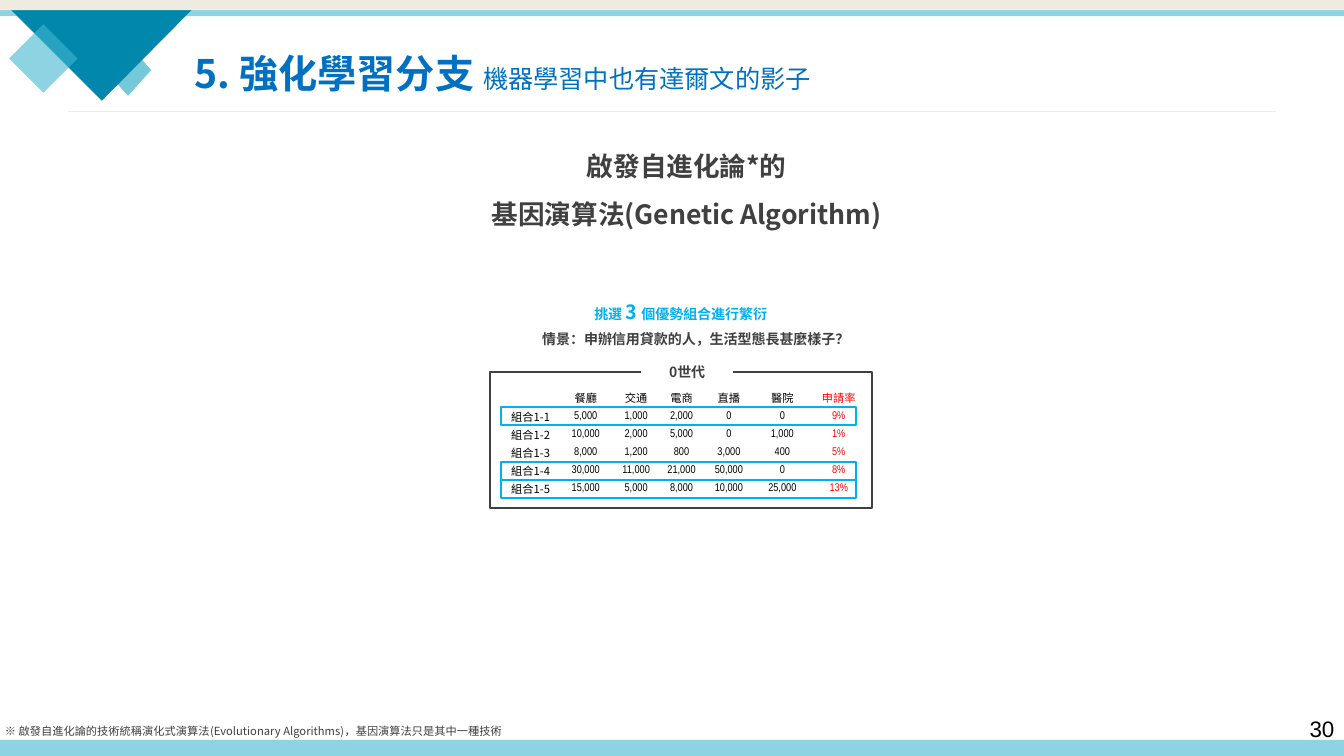
from dataclasses import dataclass

from lxml.etree import SubElement
from pptx import Presentation
from pptx.dml.color import RGBColor
from pptx.enum.shapes import MSO_CONNECTOR, MSO_SHAPE
from pptx.enum.text import MSO_ANCHOR, MSO_AUTO_SIZE, PP_ALIGN
from pptx.oxml.ns import qn
from pptx.util import Pt

PX = 9144


@dataclass(frozen=True)
class Theme:
    """Colours, fonts and type sizes of the slide."""
    white: str = "FFFFFF"
    black: str = "000000"
    text: str = "404040"
    title: str = "0070C0"
    accent: str = "00B0F0"
    rate: str = "FF0000"
    cream: str = "EEECE1"
    band: str = "8DD4E3"
    triangle: str = "0187AC"
    small_diamond: str = "1AA4BE"
    large_diamond: str = "41B7D0"
    cjk_font: str = "Noto Sans CJK SC"
    number_font: str = "Arial Narrow"
    page_font: str = "Arial"
    title_size: int = 28
    subtitle_size: int = 18
    heading_size: int = 19
    page_size: int = 16
    count_size: int = 14
    label_size: int = 10
    small_size: int = 8


THEME = Theme()
HEADERS = ["", "餐廳", "交通", "電商", "直播", "醫院", "申請率"]
COMBINATIONS = [
    ["組合1-1", "5,000", "1,000", "2,000", "0", "0", "9%"],
    ["組合1-2", "10,000", "2,000", "5,000", "0", "1,000", "1%"],
    ["組合1-3", "8,000", "1,200", "800", "3,000", "400", "5%"],
    ["組合1-4", "30,000", "11,000", "21,000", "50,000", "0", "8%"],
    ["組合1-5", "15,000", "5,000", "8,000", "10,000", "25,000", "13%"],
]
SELECTED = [0, 3, 4]
COLUMN_WIDTHS = [59, 50, 50, 40, 54, 52, 60]
HEADER_HEIGHT, ROW_HEIGHT = 20, 18


def scaled(*lengths):
    """Turn pixel lengths into EMU."""
    return [length * PX for length in lengths]


def set_attributes(target, values):
    """Set each named attribute on the target."""
    for name, value in values.items():
        setattr(target, name, value)


def paint(shape, fill=None, line=None, width=1, alpha=None):
    """Give a shape its fill, outline and transparency."""
    shape.shadow.inherit = False
    if fill:
        shape.fill.solid()
        shape.fill.fore_color.rgb = RGBColor.from_string(fill)
    else:
        shape.fill.background()
    if alpha:
        color = shape.fill._xPr.find(qn("a:solidFill"))[0]
        SubElement(color, qn("a:alpha"), val=str(alpha * 1000))
    if line:
        shape.line.color.rgb = RGBColor.from_string(line)
        shape.line.width = Pt(width)
    else:
        shape.line.fill.background()


def add_block(slide, kind, box, **style):
    """Add a painted preset shape."""
    shape = slide.shapes.add_shape(kind, *scaled(*box))
    paint(shape, **style)
    return shape


def add_run(paragraph, text, size, color, bold=False, font=THEME.cjk_font):
    """Add a formatted run with matching Latin and East Asian fonts."""
    run = paragraph.add_run()
    run.text = text
    set_attributes(run.font, {"size": Pt(size), "bold": bold, "name": font})
    run.font.color.rgb = RGBColor.from_string(color)
    SubElement(run._r.get_or_add_rPr(), qn("a:ea"), typeface=font)


def write(shape, paragraphs, align=PP_ALIGN.LEFT, spacing=1.5, wrap=True):
    """Fill a shape with paragraphs, each a list of run arguments."""
    frame = shape.text_frame
    set_attributes(frame, {"word_wrap": wrap, "vertical_anchor": MSO_ANCHOR.TOP,
                           "auto_size": MSO_AUTO_SIZE.NONE})
    for name in ("margin_left", "margin_right"):
        setattr(frame, name, 10 * PX)
    for name in ("margin_top", "margin_bottom"):
        setattr(frame, name, 5 * PX)
    for index, runs in enumerate(paragraphs):
        paragraph = frame.add_paragraph() if index else frame.paragraphs[0]
        set_attributes(paragraph, {"alignment": align, "line_spacing": spacing,
                                   "space_before": Pt(0)})
        for run in runs:
            add_run(paragraph, *run)


def add_label(slide, box, paragraphs, **layout):
    """Add a text box."""
    write(slide.shapes.add_textbox(*scaled(*box)), paragraphs, **layout)


def add_backdrop(slide, box):
    """Draw the bands, corner ornament and header rule."""
    left, top, width, height = box
    add_block(slide, MSO_SHAPE.DIAMOND, (left + 104, top + 44, 46, 51),
              fill=THEME.small_diamond, alpha=60)
    add_block(slide, MSO_SHAPE.RECTANGLE, (left, top, width, 16), fill=THEME.band)
    points = [(184, 0), (192, 8), (101, 100), (9, 8)]
    builder = slide.shapes.build_freeform(left + 17, top, scale=PX)
    builder.add_line_segments([(left + x, top + y) for x, y in points])
    paint(builder.convert_to_shape(), fill=THEME.triangle)
    add_block(slide, MSO_SHAPE.DIAMOND, (left + 9, top + 24, 68, 68),
              fill=THEME.large_diamond, alpha=60)
    add_block(slide, MSO_SHAPE.RECTANGLE, (left, top + height - 16, width, 16),
              fill=THEME.band)
    add_block(slide, MSO_SHAPE.RECTANGLE, (left, top, width, 10), fill=THEME.cream)
    rule = slide.shapes.add_connector(
        MSO_CONNECTOR.STRAIGHT, *scaled(left + 67, top + 110, left + 1266, top + 110))
    rule.line.color.rgb = RGBColor.from_string(THEME.cream)
    rule.line.width = Pt(0.5)
    SubElement(rule._element.spPr, qn("a:effectLst"))


def add_title(slide, box):
    """Place and format the title placeholder."""
    title = slide.shapes.title
    names = ("left", "top", "width", "height")
    set_attributes(title, dict(zip(names, scaled(*box))))
    write(title, [[("5. 強化學習分支 ", THEME.title_size, THEME.title, True),
                   ("機器學習中也有達爾文的影子", THEME.subtitle_size, THEME.title)]])


def add_introduction(slide, box):
    """Write the heading, the selection line and the scenario."""
    left, top, width, _ = box
    heading = (THEME.heading_size, THEME.text, True)
    label = (THEME.label_size, THEME.text, True)
    pick = (THEME.label_size, THEME.accent, True)
    centred = {"align": PP_ALIGN.CENTER}
    add_label(slide, (left, top, width, 100),
              [[("啟發自進化論*的", *heading)],
               [("基因演算法(Genetic Algorithm)", *heading)]], **centred)
    add_label(slide, (left + 122, top + 187, 336, 32),
              [[("情景：申辦信用貸款的人，生活型態長甚麼樣子？", *label)]], **centred)
    add_label(slide, (left + 174, top + 153, 202, 41),
              [[("挑選 ", *pick), ("3 ", THEME.count_size, THEME.accent, True),
                ("個優勢組合進行繁衍", *pick)]], **centred)


def fill_cell(cell, text, row, column):
    """Format one table cell."""
    set_attributes(cell, {"margin_left": 0 if column else 10 * PX, "margin_right": 0,
                          "margin_top": 0, "margin_bottom": 0,
                          "vertical_anchor": MSO_ANCHOR.MIDDLE})
    cell.fill.background()
    paragraph = cell.text_frame.paragraphs[0]
    paragraph.alignment = PP_ALIGN.CENTER if column else PP_ALIGN.LEFT
    if text:
        color = THEME.rate if column == len(HEADERS) - 1 else THEME.black
        font = THEME.number_font if row and column else THEME.cjk_font
        add_run(paragraph, text, THEME.small_size, color, font=font)
    else:
        SubElement(paragraph._p, qn("a:endParaRPr"), sz=str(THEME.small_size * 100))


def add_generation(slide, box):
    """Draw the framed generation table and outline the selected rows."""
    left, top, width, _ = box
    add_block(slide, MSO_SHAPE.RECTANGLE, box, line=THEME.text)
    caption = add_block(slide, MSO_SHAPE.RECTANGLE, (left + 150, top - 22, 91, 32),
                        fill=THEME.white)
    write(caption, [[("0世代", THEME.label_size, THEME.text, True)]],
          align=PP_ALIGN.CENTER)
    rows = [HEADERS, *COMBINATIONS]
    table_height = HEADER_HEIGHT + ROW_HEIGHT * len(COMBINATIONS)
    table = slide.shapes.add_table(
        len(rows), len(HEADERS),
        *scaled(left + 11, top + 15, sum(COLUMN_WIDTHS), table_height)).table
    set_attributes(table, {"first_row": False, "horz_banding": False})
    for column, column_width in zip(table.columns, COLUMN_WIDTHS):
        column.width = column_width * PX
    for row, values in enumerate(rows):
        table.rows[row].height = (ROW_HEIGHT if row else HEADER_HEIGHT) * PX
        for column, text in enumerate(values):
            fill_cell(table.cell(row, column), text, row, column)
    for index in SELECTED:
        row_top = top + 15 + HEADER_HEIGHT + index * ROW_HEIGHT
        add_block(slide, MSO_SHAPE.RECTANGLE, (left + 11, row_top, width - 27, ROW_HEIGHT),
                  line=THEME.accent, width=1.5)


def add_footer(slide, box):
    """Write the footnote and page number."""
    left, top, width, _ = box
    note = "※ 啟發自進化論的技術統稱演化式演算法(Evolutionary Algorithms)，基因演算法只是其中一種技術"
    add_label(slide, (left - 5, top + 2, 703, 28),
              [[(note, THEME.small_size, THEME.text)]])
    add_label(slide, (left + width - 44, top, 44, 37),
              [[("30", THEME.page_size, THEME.black, False, THEME.page_font)]],
              spacing=1.0, wrap=False)


def main():
    """Build and save the slide."""
    presentation = Presentation()
    presentation.slide_width, presentation.slide_height = scaled(1333, 750)
    slide = presentation.slides.add_slide(presentation.slide_layouts[5])
    add_backdrop(slide, (0, 0, 1333, 750))
    add_title(slide, (183, 21, 1013, 72))
    add_introduction(slide, (400, 128, 562, 219))
    add_generation(slide, (486, 369, 379, 135))
    add_footer(slide, (0, 705, 1333, 45))
    presentation.save("out.pptx")


if __name__ == "__main__":
    main()
